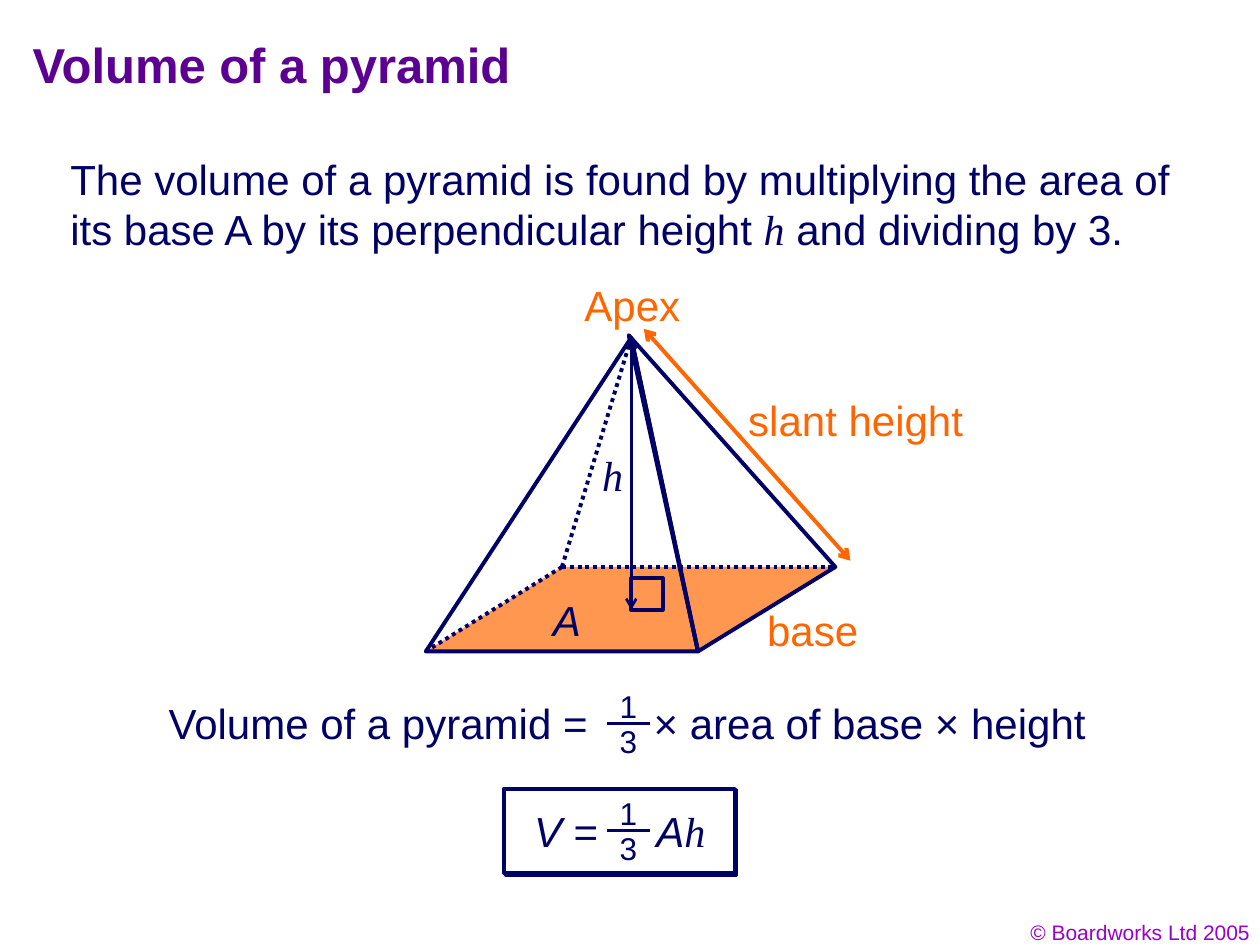
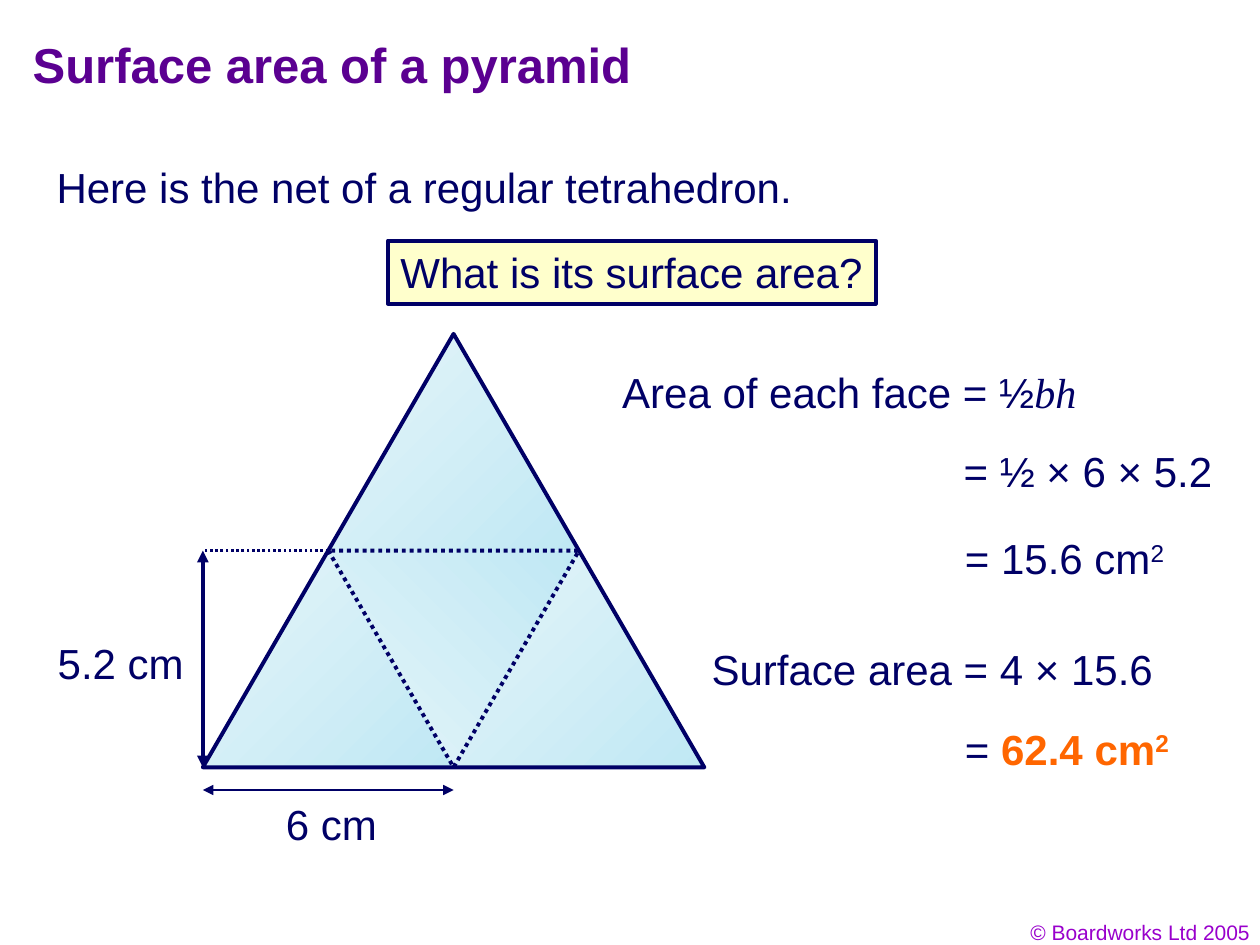
from dataclasses import dataclass
from lxml import etree
from pptx import Presentation
from pptx.dml.color import RGBColor as RGB
from pptx.enum.dml import MSO_LINE_DASH_STYLE as DASH
from pptx.enum.shapes import MSO_CONNECTOR as CONNECTOR, MSO_SHAPE as SHAPE
from pptx.enum.text import MSO_ANCHOR as ANCHOR, MSO_AUTO_SIZE as AUTO_SIZE, PP_ALIGN as ALIGN
from pptx.oxml.ns import qn
from pptx.util import Inches, Pt


@dataclass(frozen=True)
class Theme:
    navy: RGB = RGB(0x00, 0x00, 0x66)
    purple: RGB = RGB(0x5B, 0x00, 0x91)
    violet: RGB = RGB(0x99, 0x00, 0xCC)
    orange: RGB = RGB(0xFF, 0x66, 0x00)
    base_fill: RGB = RGB(0xFF, 0x97, 0x51)
    white: RGB = RGB(0xFF, 0xFF, 0xFF)
    cream: RGB = RGB(0xFF, 0xFF, 0xCC)
    face_dark: RGB = RGB(0xC0, 0xE8, 0xF4)
    face_light: RGB = RGB(0xE6, 0xF5, 0xF9)
    sans: str = "Arial"
    serif: str = "Times New Roman"
    title_size: int = 28
    body_size: int = 24
    fraction_size: int = 18
    footer_size: int = 12
    thick: float = 2.25
    thin: float = 1.5


theme = Theme()
ITALIC = {"italic": True}
SYMBOL = {"italic": True, "name": theme.serif}
ANSWER = {"bold": True, "color": theme.orange}


def write(shape, runs, size=theme.body_size, color=theme.navy, wrap=False, align=ALIGN.LEFT, tab=None):
    """Fill a shape with one paragraph of (text, style) runs."""
    frame = shape.text_frame
    frame.word_wrap = wrap
    frame.auto_size = AUTO_SIZE.NONE
    paragraph = frame.paragraphs[0]
    paragraph.alignment = align
    if tab:
        tab_list = etree.SubElement(paragraph._p.get_or_add_pPr(), qn("a:tabLst"))
        etree.SubElement(tab_list, qn("a:tab"), pos=str(Inches(tab)), algn="l")
    for text, style in runs:
        run = paragraph.add_run()
        run.text = text
        run.font.size = Pt(size)
        run.font.name = style.get("name", theme.sans)
        run.font.bold = style.get("bold", False)
        run.font.italic = style.get("italic", False)
        run.font.color.rgb = style.get("color", color)
        if style.get("raised"):
            run._r.get_or_add_rPr().set("baseline", "30000")
    return shape


def draw_line(slide, start, end, width=theme.thick, color=theme.navy, dash=None, arrows=None):
    """Draw a straight line, with the same arrowhead at both ends if asked."""
    line = slide.shapes.add_connector(CONNECTOR.STRAIGHT, *map(Inches, (*start, *end)))
    line.line.width = Pt(width)
    line.line.color.rgb = color
    if dash:
        line.line.dash_style = dash
    if arrows:
        outline = line.line._get_or_add_ln()
        for tag in ("a:headEnd", "a:tailEnd"):
            etree.SubElement(outline, qn(tag), type=arrows)
    etree.SubElement(line._element.spPr, qn("a:effectLst"))


presentation = Presentation()
presentation.slide_width = Inches(10)
presentation.slide_height = Inches(7.5)

# Titles and footers of both slides
slides = []
for heading in ("Volume of a pyramid", "Surface area of a pyramid"):
    slide = presentation.slides.add_slide(presentation.slide_layouts[5])
    title = slide.shapes.title
    title.left, title.top, title.width, title.height = map(Inches, (0.16, 0.16, 8.04, 0.69))
    title.text_frame.vertical_anchor = ANCHOR.MIDDLE
    write(title, [(heading, {"bold": True})], theme.title_size, theme.purple, wrap=True)
    footer = slide.shapes.add_textbox(*map(Inches, (7.69, 7.25, 2.33, 0.3)))
    write(footer, [("© Boardworks Ltd 2005", {})], theme.footer_size, theme.violet, True, ALIGN.RIGHT)
    slides.append(slide)
volume_slide, surface_slide = slides

# Volume: introduction
introduction = volume_slide.shapes.add_textbox(*map(Inches, (0.46, 1.17, 9.04, 0.9)))
write(introduction, [
    ("The volume of a pyramid is found by multiplying the area of its base A "
     "by its perpendicular height ", {}),
    ("h", SYMBOL),
    (" and dividing by 3.", {}),
], wrap=True)

# Volume: pyramid faces
apex, foot = (5.01, 2.68), (5.01, 4.84)
front_left, front_right = (3.38, 5.17), (5.54, 5.17)
back_left, back_right = (4.46, 4.5), (6.63, 4.5)
for corners, fill in (
    ((front_left, back_left, back_right, front_right), theme.base_fill),
    ((front_left, front_right, apex), None),
    ((front_right, back_right, (4.99, 2.66)), None),
):
    points = [(Inches(x), Inches(y)) for x, y in corners]
    builder = volume_slide.shapes.build_freeform(*points[0])
    builder.add_line_segments(points[1:], close=True)
    face = builder.convert_to_shape()
    face.shadow.inherit = False
    if fill:
        face.fill.solid()
        face.fill.fore_color.rgb = fill
        face.line.fill.background()
    else:
        face.fill.background()
        face.line.color.rgb = theme.navy
        face.line.width = Pt(theme.thick)

# Volume: pyramid edges
for corner in (apex, front_left, back_right):
    draw_line(volume_slide, back_left, corner, dash=DASH.ROUND_DOT)
draw_line(volume_slide, front_right, apex)

# Volume: right angle, height and slant height
right_angle = volume_slide.shapes.add_shape(SHAPE.RECTANGLE, *map(Inches, (5.01, 4.59, 0.25, 0.25)))
right_angle.shadow.inherit = False
right_angle.fill.background()
right_angle.line.color.rgb = theme.navy
right_angle.line.width = Pt(theme.thick)
draw_line(volume_slide, apex, foot, theme.thin, arrows="arrow")
draw_line(volume_slide, (5.11, 2.61), (6.75, 4.45), color=theme.orange, arrows="arrow")

# Volume: labels
for text, left, top, width, style in (
    ("Apex", 4.54, 2.17, 0.96, {"color": theme.orange}),
    ("slant height", 5.84, 3.08, 1.9, {"color": theme.orange}),
    ("base", 5.99, 4.75, 0.92, {"color": theme.orange}),
    ("A", 4.29, 4.67, 0.42, ITALIC),
    ("h", 4.68, 3.52, 0.36, SYMBOL),
):
    label = volume_slide.shapes.add_textbox(*map(Inches, (left, top, width, 0.5)))
    write(label, [(text, style)])

# Volume: frame of the short formula
frame = volume_slide.shapes.add_shape(SHAPE.RECTANGLE, *map(Inches, (4, 6.26, 1.83, 0.67)))
frame.shadow.inherit = False
frame.fill.solid()
frame.fill.fore_color.rgb = theme.white
frame.line.color.rgb = theme.navy
frame.line.width = Pt(theme.thick)
shadow = etree.SubElement(frame._element.spPr.find(qn("a:effectLst")), qn("a:outerShdw"),
                          dist=str(Pt(1.4)), dir="2700000", algn="ctr", rotWithShape="0")
etree.SubElement(shadow, qn("a:srgbClr"), val=str(theme.navy))

# Volume: formulas, with a tab stop that leaves room for one third
for runs, left, top, width, tab, bar in (
    ([("Volume of a pyramid =\t× area of base × height", {})], 1.24, 5.49, 7.7, 3.85, 5.74),
    ([("V", ITALIC), (" =\t", {}), ("A", ITALIC), ("h", SYMBOL)], 4.14, 6.34, 1.65, 0.97, 6.59),
):
    formula = volume_slide.shapes.add_textbox(*map(Inches, (left, top, width, 0.5)))
    write(formula, runs, wrap=True, tab=tab)
    for digit, offset in (("1", -0.34), ("3", -0.06)):
        number = volume_slide.shapes.add_textbox(*map(Inches, (4.82, bar + offset, 0.34, 0.4)))
        write(number, [(digit, {})], theme.fraction_size)
    draw_line(volume_slide, (4.82, bar), (5.16, bar), theme.thin)

# Surface area: introduction and question
introduction = surface_slide.shapes.add_textbox(*map(Inches, (0.35, 1.23, 9.45, 0.5)))
write(introduction, [("Here is the net of a regular tetrahedron.", {})], wrap=True)
question = surface_slide.shapes.add_textbox(*map(Inches, (3.08, 1.91, 3.87, 0.5)))
write(question, [("What is its surface area?", {})])
question.fill.solid()
question.fill.fore_color.rgb = theme.cream
question.line.color.rgb = theme.navy
question.line.width = Pt(theme.thick)

# Surface area: net of four faces inside one outline
side, height = 1.99, 1.72
net_left, net_top = 1.61, 2.65
middle, bottom = net_top + height, net_top + 2 * height
for column, row, scale, kind in (
    (0.5, 0, 1, "face"),
    (1, 1, 1, "face"),
    (0, 1, 1, "face"),
    (0.5, 1, 1, "centre"),
    (0, 0, 2, "outline"),
):
    triangle = surface_slide.shapes.add_shape(
        SHAPE.ISOSCELES_TRIANGLE,
        Inches(net_left + column * side), Inches(net_top + row * height),
        Inches(scale * side), Inches(scale * height))
    triangle.shadow.inherit = False
    if kind == "outline":
        triangle.fill.background()
    else:
        triangle.fill.gradient()
        triangle.fill.gradient_angle = 135
        for stop, color in zip(triangle.fill.gradient_stops, (theme.face_dark, theme.face_light)):
            stop.color.rgb = color
    if kind == "face":
        triangle.line.fill.background()
    else:
        triangle.line.color.rgb = theme.navy
        triangle.line.width = Pt(theme.thick)
    if kind == "centre":
        triangle.line.dash_style = DASH.ROUND_DOT
        triangle._element.spPr.find(qn("a:xfrm")).set("flipV", "1")

# Surface area: dimension lines
draw_line(surface_slide, (net_left, middle), (net_left, bottom), arrows="triangle")
draw_line(surface_slide, (net_left + side / 2, middle), (net_left, middle), theme.thin, dash=DASH.ROUND_DOT)
draw_line(surface_slide, (net_left, 6.27), (net_left + side, 6.27), theme.thin, arrows="triangle")

# Surface area: dimensions and working
for left, top, width, runs in (
    (2.17, 6.29, 0.92, [("6 cm", {})]),
    (0.36, 5.01, 1.2, [("5.2 cm", {})]),
    (4.84, 2.86, 3.8, [("Area of each face = ½", {}), ("bh", SYMBOL)]),
    (7.55, 3.49, 2.17, [("= ½ × 6 × 5.2", {})]),
    (7.56, 4.18, 1.78, [("= 15.6 cm", {}), ("2", {"raised": True})]),
    (5.55, 5.06, 3.7, [("Surface area = 4 × 15.6", {})]),
    (7.56, 5.69, 1.82, [("= ", {}), ("62.4 cm", ANSWER), ("2", {**ANSWER, "raised": True})]),
):
    working = surface_slide.shapes.add_textbox(*map(Inches, (left, top, width, 0.5)))
    write(working, runs)

presentation.save("out.pptx")
